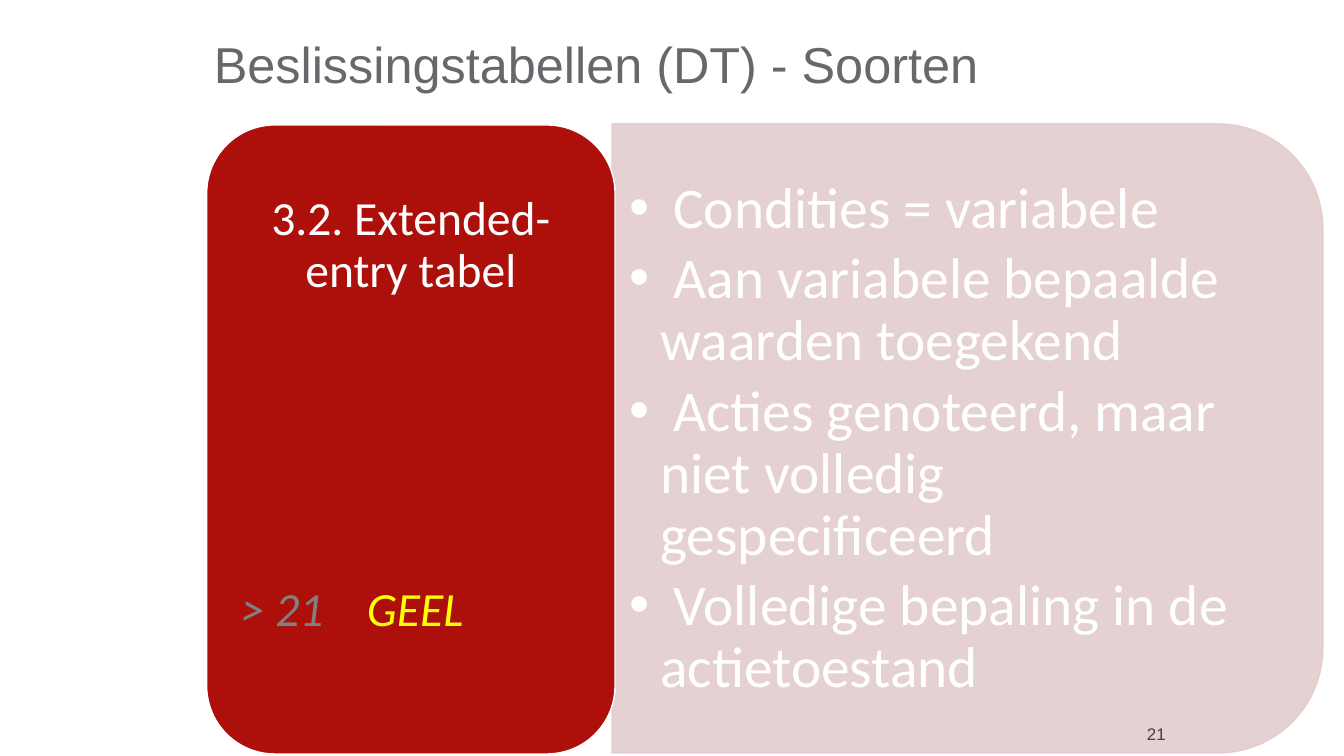
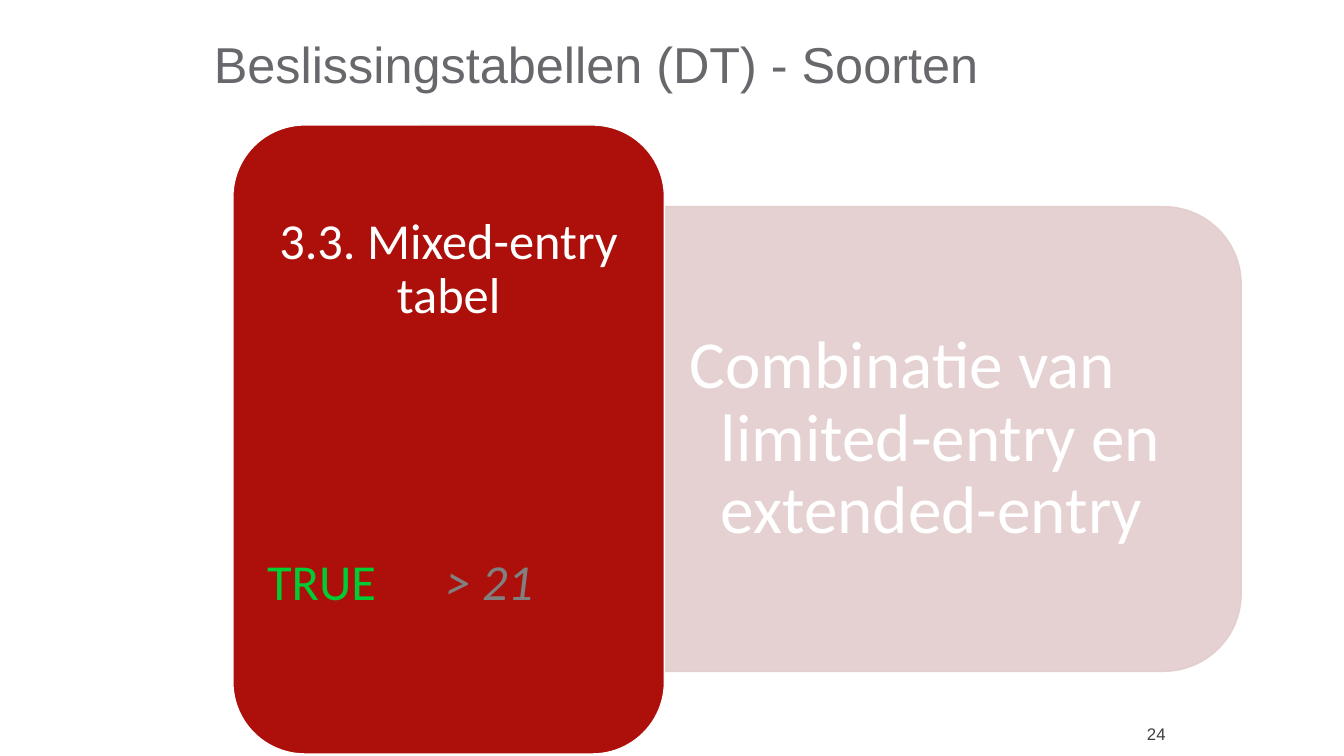
from lxml import etree
from pptx import Presentation
from pptx.dml import color
from pptx.enum import shapes, text
from pptx.oxml import ns
from pptx.util import Inches, Pt

COLORS = {
    "title": "68676C", "panel": "E3CCCC", "card": "AD0F0A", "white": "FFFFFF",
    "grey": "808080", "yellow": "FFFF00", "green": "00CC33", "number": "3F3F3F",
}
TITLE = "Beslissingstabellen (DT) - Soorten"
HANG = Inches(0.31)


def rgb(name):
    return color.RGBColor.from_string(COLORS[name])


def set_font(font, size, color_name, name="Calibri"):
    font.name, font.size = name, Pt(size)
    font.color.rgb = rgb(color_name)


def place(shape, box):
    shape.left, shape.top, shape.width, shape.height = map(Inches, box)


def set_frame(frame, anchor, inset_x, inset_y):
    frame.word_wrap = True
    frame.auto_size = text.MSO_AUTO_SIZE.NONE
    frame.vertical_anchor = anchor
    frame.margin_left = frame.margin_right = Inches(inset_x)
    frame.margin_top = frame.margin_bottom = Inches(inset_y)


def add_text_box(slide, box, anchor=text.MSO_ANCHOR.TOP, inset_x=0, inset_y=0):
    frame = slide.shapes.add_textbox(*map(Inches, box)).text_frame
    set_frame(frame, anchor, inset_x, inset_y)
    return frame.paragraphs[0]


def add_box_shape(slide, kind, box, fill, line):
    shape = slide.shapes.add_shape(kind, *map(Inches, box))
    shape.shadow.inherit = False
    shape.fill.solid()
    shape.fill.fore_color.rgb = rgb(fill)
    shape.line.color.rgb = rgb(line)
    shape.line.width = Pt(1)
    return shape


def add_title(slide):
    title = slide.shapes.title
    place(title, (2.02, 0, 9.53, 1.25))
    set_frame(title.text_frame, text.MSO_ANCHOR.MIDDLE, 0.1, 0.05)
    title.text_frame.text = TITLE
    paragraph = title.text_frame.paragraphs[0]
    paragraph.alignment = text.PP_ALIGN.LEFT
    set_font(paragraph.font, 36, "title", "Arial")


def add_number(slide, number):
    paragraph = add_text_box(slide, (9.33, 7.08, 2.33, 0.4), text.MSO_ANCHOR.MIDDLE, 0.1, 0.05)
    paragraph.text = str(number)
    paragraph.alignment = text.PP_ALIGN.RIGHT
    set_font(paragraph.font, 12, "number", "Arial")


def add_panel(slide, box, text_box, items, size, bulleted, insets):
    """Pale panel rounded on its right side, with the body text in front."""
    left, top, width, height = box
    # The preset is rounded at the top, so it is turned a quarter clockwise
    turned = (left + (width - height) / 2, top + (height - width) / 2, height, width)
    panel = add_box_shape(slide, shapes.MSO_SHAPE.ROUND_2_SAME_RECTANGLE, turned, "panel", "panel")
    panel.rotation = 90
    for rgb_element in panel._element.spPr.iter(ns.qn("a:srgbClr")):
        etree.SubElement(rgb_element, ns.qn("a:alpha"), val="90000")

    body = slide.placeholders[1]
    body._element.addprevious(panel._element)
    place(body, text_box)
    frame = body.text_frame
    set_frame(frame, text.MSO_ANCHOR.MIDDLE, *insets)
    frame.text = "\n".join(items)
    for paragraph in frame.paragraphs:
        properties = paragraph._p.get_or_add_pPr()
        properties.set("marL", str(HANG))
        properties.set("indent", str(-HANG))
        if bulleted:
            etree.SubElement(properties, ns.qn("a:buChar"), char="•")
        else:
            etree.SubElement(properties, ns.qn("a:buNone"))
        paragraph.line_spacing = 0.9
        paragraph.space_before = Pt(0)
        paragraph.space_after = Pt(size * 0.15)
        set_font(paragraph.font, size, "white")


def add_card(slide, box, heading, size, heading_top, values, values_top, tab):
    """Red card with a centred heading and two example values on a tab stop."""
    left, top, width, height = box
    add_box_shape(slide, shapes.MSO_SHAPE.ROUNDED_RECTANGLE, box, "card", "white")

    title = add_text_box(slide, (left + 0.34, top + heading_top, width - 0.68, 1.2))
    title.text = heading
    title.alignment = text.PP_ALIGN.CENTER
    title.line_spacing = 0.9
    set_font(title.font, size, "white")

    line = add_text_box(slide, (left + 0.34, top + values_top, width - 0.68, 0.6))
    tabs = etree.SubElement(line._p.get_or_add_pPr(), ns.qn("a:tabLst"))
    etree.SubElement(tabs, ns.qn("a:tab"), pos=str(Inches(tab)), algn="l")
    line.line_spacing = 0.9
    for index, (value, color_name, italic) in enumerate(values):
        run = line.add_run()
        run.text = "\t" + value if index else value
        set_font(run.font, size, color_name)
        run.font.italic = italic


def add_type_slide(presentation, number, panel, card):
    slide = presentation.slides.add_slide(presentation.slide_layouts[1])
    add_title(slide)
    add_panel(slide, **panel)
    add_card(slide, **card)
    add_number(slide, number)


def main():
    presentation = Presentation()
    presentation.slide_width = Inches(13.33)
    presentation.slide_height = Inches(7.5)

    # Extended-entry table
    add_type_slide(
        presentation, 21,
        panel=dict(
            box=(6.07, 1.23, 7.05, 6.24), text_box=(6.07, 1.54, 6.75, 5.64),
            items=[" Condities = variabele",
                   " Aan variabele bepaalde waarden toegekend",
                   " Acties genoteerd, maar niet volledig gespecificeerd",
                   " Volledige bepaling in de actietoestand"],
            size=41, bulleted=True, insets=(0.17, 0.09)),
        card=dict(
            box=(2.05, 1.24, 4.05, 6.24), heading="3.2. Extended-entry tabel",
            size=34, heading_top=0.69,
            values=[("> 21", "grey", True), ("GEEL", "yellow", True)],
            values_top=4.57, tab=1.25))

    # Mixed-entry table
    add_type_slide(
        presentation, 24,
        panel=dict(
            box=(6.57, 2.05, 5.74, 4.61), text_box=(6.57, 2.28, 5.51, 4.16),
            items=["Combinatie van limited-entry en extended-entry"],
            size=48, bulleted=False, insets=(0.27, 0.14)),
        card=dict(
            box=(2.31, 1.24, 4.28, 6.24), heading="3.3. Mixed-entry tabel",
            size=36, heading_top=0.9,
            values=[("TRUE", "green", False), ("> 21", "grey", True)],
            values_top=4.29, tab=1.77))

    presentation.save("out.pptx")


if __name__ == "__main__":
    main()
